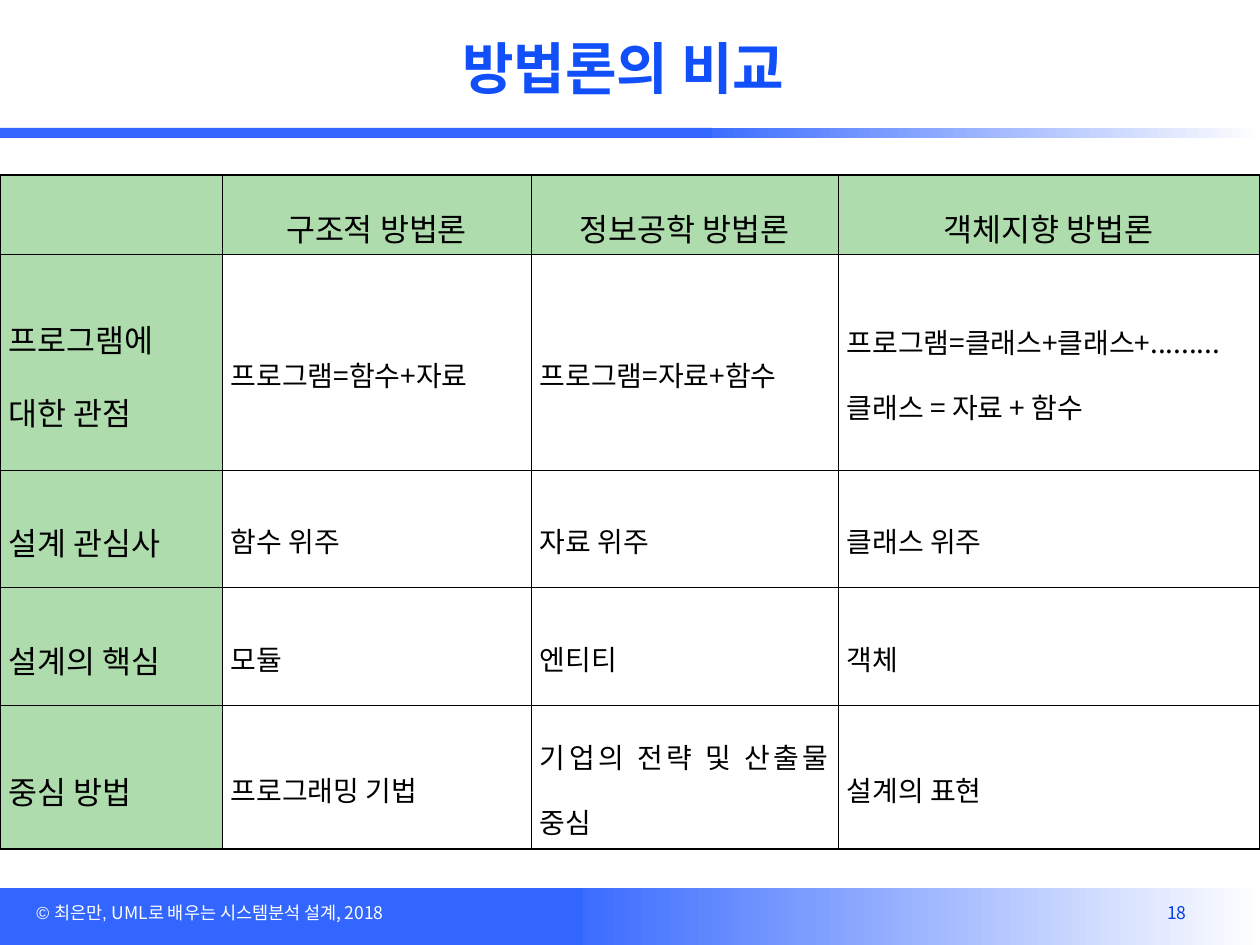
from lxml.etree import SubElement
from pptx import Presentation
from pptx.dml.color import RGBColor
from pptx.enum.shapes import MSO_SHAPE
from pptx.enum.text import MSO_ANCHOR, PP_ALIGN
from pptx.oxml.ns import qn
from pptx.util import Pt

SCALE = 914400 / 126
NOTO = "Noto Sans CJK KR"
BLUE, WHITE, BLACK, GREEN = "3366FF", "FFFFFF", "000000", "AEDCAD"

COLS = [222, 309, 307, 422]
ROWS = [79, 216, 117, 118, 144]
CELLS = [
    ["", "구조적 방법론", "정보공학 방법론", "객체지향 방법론"],
    ["프로그램에\n대한 관점", "프로그램=함수+자료", "프로그램=자료+함수",
     "프로그램=클래스+클래스+.........\n클래스 = 자료 + 함수"],
    ["설계 관심사", "함수 위주", "자료 위주", "클래스 위주"],
    ["설계의 핵심", "모듈", "엔티티", "객체"],
    ["중심 방법", "프로그래밍 기법", "기업의 전략 및 산출물 중심", "설계의 표현"],
]


def px(n):
    return round(n * SCALE)


def color(code):
    return RGBColor.from_string(code)


def add_run(para, text, size, code, font=NOTO, bold=False):
    run = para.add_run()
    run.text = text
    run.font.size = Pt(size)
    run.font.name = font
    run.font.bold = bold
    run.font.color.rgb = color(code)
    SubElement(run.font._element, qn("a:ea"), typeface=NOTO)


def add_text(slide, box, align, runs, wrap=True):
    frame = slide.shapes.add_textbox(*map(px, box)).text_frame
    frame.word_wrap = wrap
    frame.vertical_anchor = MSO_ANCHOR.MIDDLE
    para = frame.paragraphs[0]
    para.alignment = align
    for run in runs:
        add_run(para, *run)


def add_bar(slide, box, fade=False):
    bar = slide.shapes.add_shape(MSO_SHAPE.RECTANGLE, *map(px, box))
    bar.shadow.inherit = False
    bar.line.fill.background()
    if fade:
        bar.fill.gradient()
        bar.fill.gradient_angle = 0
        for stop, code in zip(bar.fill.gradient_stops, (BLUE, WHITE)):
            stop.color.rgb = color(code)
    else:
        bar.fill.solid()
        bar.fill.fore_color.rgb = color(BLUE)


def add_band(slide, box, start, end):
    """Fading bar from start to the right edge, solid bar up to end."""
    x, y, w, h = box
    add_bar(slide, (x + start, y, w - start, h), fade=True)
    add_bar(slide, (x, y, end, h))


def add_edge(cell, side, width):
    line = SubElement(cell._tc.get_or_add_tcPr(), qn("a:" + side),
                      w=str(Pt(width)))
    fill = SubElement(line, qn("a:solidFill"))
    SubElement(fill, qn("a:srgbClr"), val=BLACK)


def fill_cell(cell, text, row, col):
    # Borders go before the fill in the cell properties
    outer = {"lnL": col == 0, "lnR": col == len(COLS) - 1,
             "lnT": row == 0, "lnB": row == len(ROWS) - 1}
    for side, thick in outer.items():
        add_edge(cell, side, 1.7 if thick else 0.28)
    head = row == 0 or col == 0
    cell.fill.solid()
    cell.fill.fore_color.rgb = color(GREEN if head else WHITE)
    cell.margin_left = cell.margin_right = px(9)
    cell.margin_top = cell.margin_bottom = px(2)
    cell.vertical_anchor = MSO_ANCHOR.MIDDLE
    if not text:
        return
    frame = cell.text_frame
    for i, part in enumerate(text.split("\n")):
        para = frame.add_paragraph() if i else frame.paragraphs[0]
        para.alignment = PP_ALIGN.JUSTIFY if row else PP_ALIGN.CENTER
        para.line_spacing = 1.6
        add_run(para, part, 18 if head else 16, BLACK)


def add_head(slide, box):
    x, y, w, h = box
    add_band(slide, (x, y + h - 10, w, 10), 683, 712)
    add_text(slide, (x + 88, y + 20, 1071, 95), PP_ALIGN.CENTER,
             [("방법론의 비교", 32, "114FFB", NOTO, True)])


def add_grid(slide, box):
    table = slide.shapes.add_table(len(ROWS), len(COLS),
                                   *map(px, box)).table
    for col, width in zip(table.columns, COLS):
        col.width = px(width)
    for row, height in zip(table.rows, ROWS):
        row.height = px(height)
    for r, line in enumerate(CELLS):
        for c, text in enumerate(line):
            fill_cell(table.cell(r, c), text, r, c)


def add_foot(slide, box):
    x, y, w, h = box
    add_band(slide, box, 552, 583)
    add_text(slide, (x + 24, y + 8, 504, 34), PP_ALIGN.LEFT,
             [("© 최은만, ", 10, WHITE, "Arial"),
              ("UML로 배우는 시스템분석 설계, 2018", 10, WHITE)])
    add_text(slide, (x + 1133, y + 8, 66, 34), PP_ALIGN.RIGHT,
             [("18", 10, "063DE8")], wrap=False)


def main():
    deck = Presentation()
    deck.slide_width, deck.slide_height = px(1260), px(945)
    slide = deck.slides.add_slide(deck.slide_layouts[6])
    add_foot(slide, (0, 888, 1260, 57))
    add_head(slide, (0, 0, 1260, 138))
    add_grid(slide, (0, 175, sum(COLS), sum(ROWS)))
    deck.save("out.pptx")


if __name__ == "__main__":
    main()
